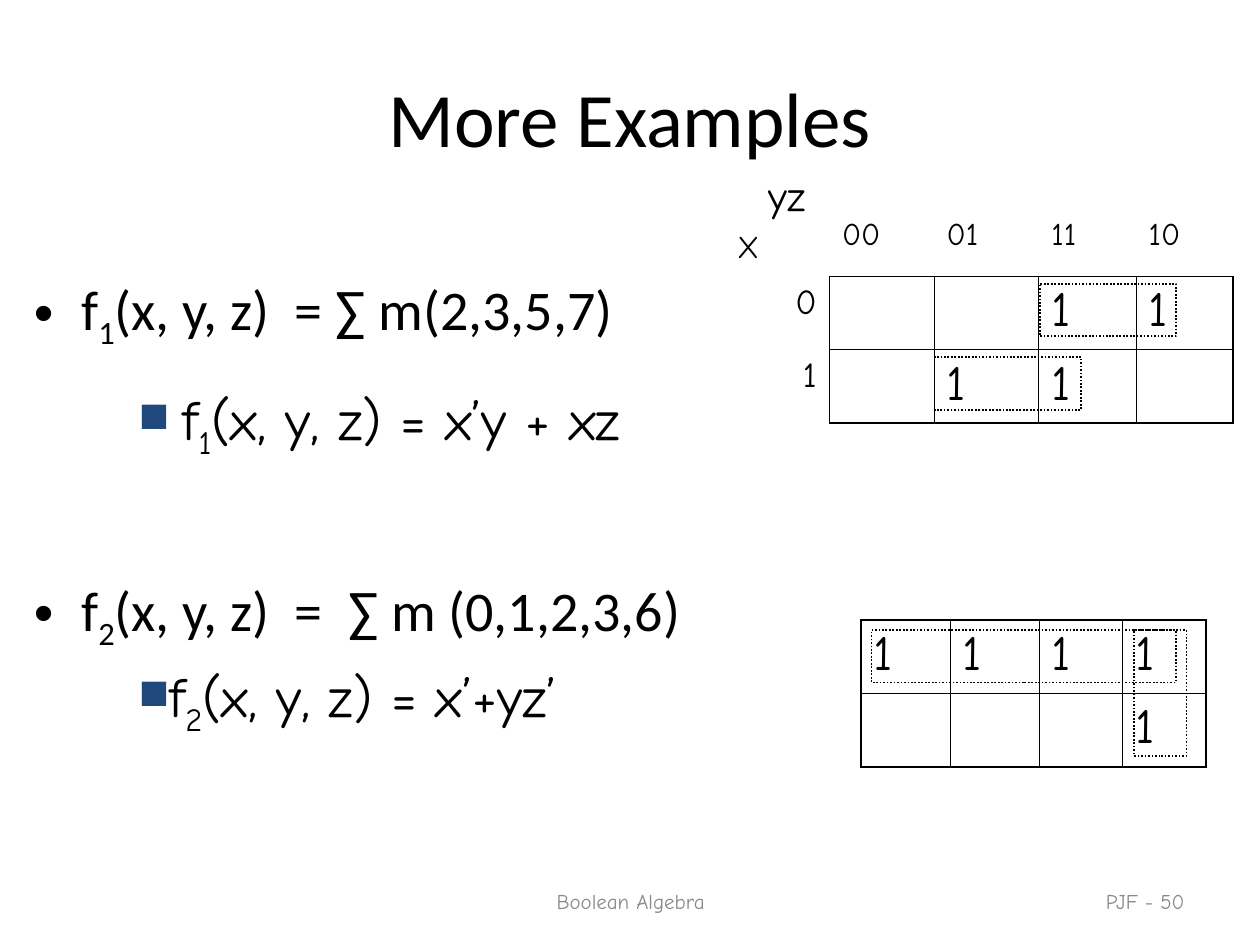
from lxml.etree import SubElement
from pptx import Presentation
from pptx.dml.color import RGBColor
from pptx.enum.dml import MSO_LINE
from pptx.enum.shapes import MSO_SHAPE
from pptx.enum.text import MSO_ANCHOR, MSO_AUTO_SIZE, PP_ALIGN
from pptx.oxml.ns import qn
from pptx.util import Cm, Pt

BLACK = RGBColor(0x00, 0x00, 0x00)
GRAY = RGBColor(0x89, 0x89, 0x89)
NAVY = RGBColor(0x1F, 0x49, 0x7D)
HAND = "Comic Neue"
THIN, THICK = Pt(0.45), Pt(1.08)
NO_STYLE = "{2D5ABB26-0587-4C30-8999-92F81FD0307C}"


def add_text(paragraph, text, size, name=HAND, color=BLACK, subscript=False):
    run = paragraph.add_run()
    run.text = text
    for attribute, value in {"size": Pt(size), "name": name}.items():
        setattr(run.font, attribute, value)
    run.font.color.rgb = color
    if subscript:
        run.font._element.set("baseline", "-25000")


def add_borders(cell, widths):
    properties = cell._tc.get_or_add_tcPr()
    for index, (side, width) in enumerate(widths.items()):
        line = SubElement(properties, qn(f"a:ln{side}"), w=str(int(width)))
        fill = SubElement(line, qn("a:solidFill"))
        SubElement(fill, qn("a:srgbClr"), val=str(BLACK))
        properties.insert(index, line)


presentation = Presentation()
presentation.slide_width, presentation.slide_height = Cm(25.4), Cm(19.05)
slide = presentation.slides.add_slide(presentation.slide_layouts[1])

title, body = slide.placeholders
for shape, box in (
    (title, (1.27, 0.76, 22.86, 3.18)),
    (body, (0.43, 5.41, 22.86, 12.57)),
):
    shape.left, shape.top, shape.width, shape.height = map(Cm, box)
    shape.text_frame.auto_size = MSO_AUTO_SIZE.NONE
title.text_frame.vertical_anchor = MSO_ANCHOR.MIDDLE
add_text(title.text_frame.paragraphs[0], "More Examples", 44, "Calibri")

functions = [
    ("1", "(x, y, z)  = ∑ m(2,3,5,7)", 0),
    ("2", "(x, y, z)  =  ∑ m (0,1,2,3,6)", 128),
]
for index, (number, definition, space) in enumerate(functions):
    frame = body.text_frame
    paragraph = frame.add_paragraph() if index else frame.paragraphs[0]
    paragraph.space_before = Pt(space)
    add_text(paragraph, "f", 32, "Calibri")
    add_text(paragraph, number, 32, "Calibri", subscript=True)
    add_text(paragraph, definition, 32, "Calibri")

footers = [
    ("Boolean Algebra", 8.69, 8.05, PP_ALIGN.CENTER),
    ("PJF - 50", 18.21, 5.92, PP_ALIGN.RIGHT),
]
for text, left, width, alignment in footers:
    shape = slide.shapes.add_textbox(Cm(left), Cm(17.65), Cm(width), Cm(1.02))
    shape.text_frame.word_wrap = True
    shape.text_frame.vertical_anchor = MSO_ANCHOR.MIDDLE
    paragraph = shape.text_frame.paragraphs[0]
    paragraph.alignment = alignment
    add_text(paragraph, text, 12, color=GRAY)

results = [
    ("1", "(x, y, z) = x’y + xz", 7.62, 0.9),
    ("2", "(x, y, z) = x’+yz’", 13.21, 0.53),
]
for number, expression, top, indent in results:
    shape = slide.shapes.add_textbox(Cm(2.54), Cm(top), Cm(11), Cm(1.8))
    shape.text_frame.word_wrap = True
    paragraph = shape.text_frame.paragraphs[0]
    properties = paragraph._p.get_or_add_pPr()
    properties.set("marL", str(Cm(indent)))
    properties.set("indent", str(-Cm(indent)))
    bullet_color = SubElement(properties, qn("a:buClr"))
    SubElement(bullet_color, qn("a:srgbClr"), val=str(NAVY))
    SubElement(properties, qn("a:buSzPct"), val="75000")
    SubElement(properties, qn("a:buChar"), char="■")
    add_text(paragraph, "f", 32)
    add_text(paragraph, number, 32, subscript=True)
    add_text(paragraph, expression, 32)

first_map = [
    ["", "00", "01", "11", "10"],
    ["0", "", "", "1", "1"],
    ["1", "", "1", "1", ""],
]
second_map = [["1", "1", "1", "1"], ["", "", "", "1"]]
maps = [
    (first_map, 14.61, 3.38, [2.11, 2.11, 2.11, 1.96, 1.96], [2.18, 1.48, 1.48], 1, THIN),
    (second_map, 17.35, 12.5, [1.8, 1.8, 1.68, 1.68], [1.48, 1.48], 0, THICK),
]
for values, left, top, widths, heights, headers, corner_width in maps:
    frame = slide.shapes.add_table(
        len(heights), len(widths), Cm(left), Cm(top), Cm(sum(widths)), Cm(sum(heights))
    )
    table = frame.table
    table.first_row = table.horz_banding = False
    table._tbl.tblPr.find(qn("a:tableStyleId")).text = NO_STYLE
    for column, width in zip(table.columns, widths):
        column.width = Cm(width)
    for row, height in zip(table.rows, heights):
        row.height = Cm(height)
    for row, texts in enumerate(values):
        for column, text in enumerate(texts):
            cell = table.cell(row, column)
            cell.fill.background()
            paragraph = cell.text_frame.paragraphs[0]
            size = 28
            if row < headers:
                size = 18
                if column:
                    cell.margin_top = Cm(1)
            elif column < headers:
                size = 20
                paragraph.alignment = PP_ALIGN.RIGHT
            else:
                add_borders(cell, {
                    "L": corner_width if column == headers else THIN,
                    "R": THICK if column == len(widths) - 1 else THIN,
                    "T": corner_width if row == headers else THIN,
                    "B": THICK if row == len(heights) - 1 else THIN,
                })
            if text:
                add_text(paragraph, text, size)
    if headers:
        corner = table.cell(0, 0).text_frame
        corner.paragraphs[0]._p.get_or_add_pPr().set("marL", str(Cm(0.63)))
        add_text(corner.paragraphs[0], "yz", 24)
        paragraph = corner.add_paragraph()
        paragraph.space_before = Pt(4.5)
        add_text(paragraph, "X", 18)

groups = [
    (20.96, 5.72, 2.75, 1.06),
    (18.84, 7.2, 2.96, 1.06),
    (17.57, 12.7, 6.14, 1.06),
    (22.86, 12.7, 1.06, 2.54),
]
for box in groups:
    shape = slide.shapes.add_shape(MSO_SHAPE.RECTANGLE, *map(Cm, box))
    shape.shadow.inherit = False
    shape.fill.background()
    shape.line.color.rgb = BLACK
    shape.line.width = Pt(1)
    shape.line.dash_style = MSO_LINE.ROUND_DOT

presentation.save("out.pptx")
